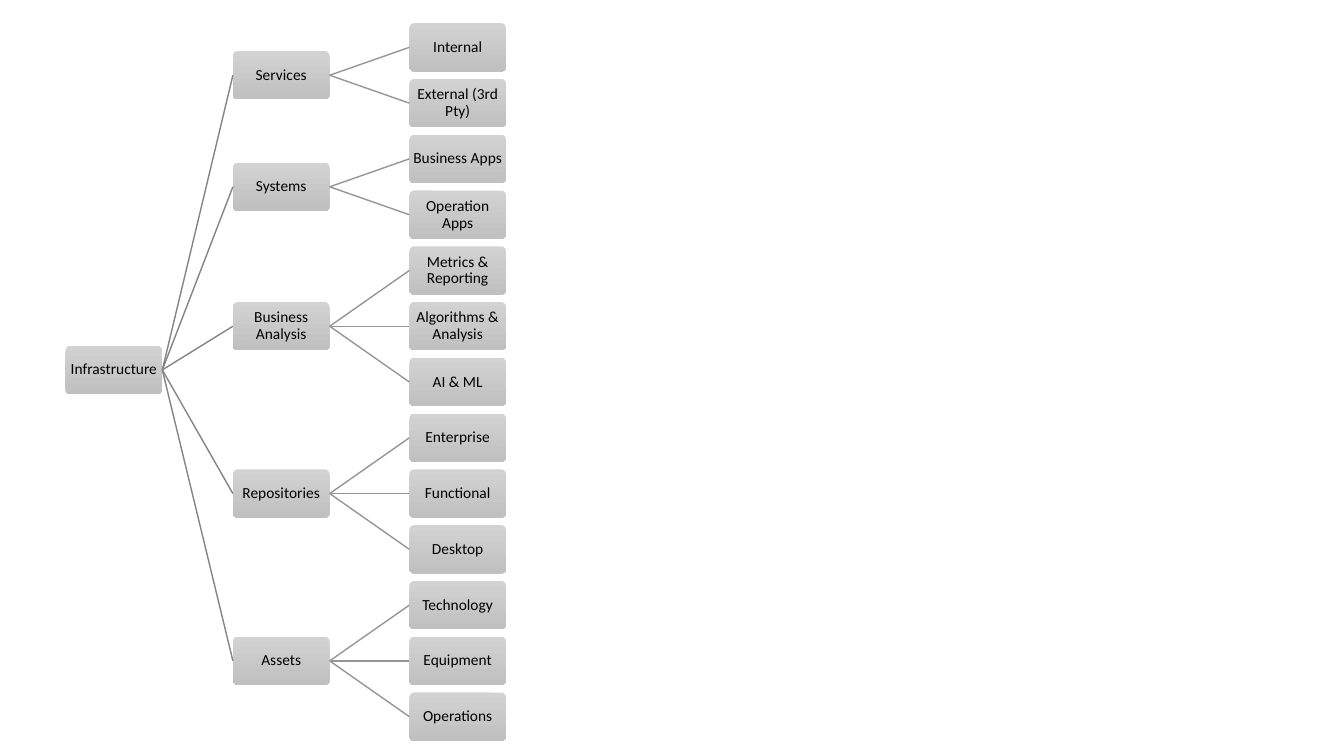
from dataclasses import dataclass

from lxml.etree import SubElement
from pptx import Presentation
from pptx.dml.color import RGBColor
from pptx.enum.shapes import MSO_CONNECTOR, MSO_SHAPE
from pptx.enum.text import MSO_ANCHOR, PP_ALIGN
from pptx.oxml.ns import qn
from pptx.util import Inches, Pt

ROOT = "Infrastructure"
BRANCHES = {
    "Services": ["Internal", "External (3rd Pty)"],
    "Systems": ["Business Apps", "Operation Apps"],
    "Business Analysis": ["Metrics & Reporting", "Algorithms & Analysis", "AI & ML"],
    "Repositories": ["Enterprise", "Functional", "Desktop"],
    "Assets": ["Technology", "Equipment", "Operations"],
}


@dataclass(frozen=True)
class Theme:
    font: str = "Calibri"
    size: float = 11
    text: str = "000000"
    box_top: str = "D2D2D2"
    box_bottom: str = "C0C0C0"
    branch_line: str = "848484"
    leaf_line: str = "969696"
    line_width: float = 1


THEME = Theme()
BOX_W, BOX_H = 0.96, 0.48
ROOT_X, BRANCH_X, LEAF_X = 0.65, 2.31, 4.06
ROOT_Y = 3.67
FIRST_LEAF_Y, LAST_LEAF_Y = 0.47, 7.11


def rgb(value):
    return RGBColor.from_string(value)


def add_box(slide, label, left, middle):
    sp = slide.shapes.add_shape(
        MSO_SHAPE.ROUNDED_RECTANGLE,
        Inches(left), Inches(middle - BOX_H / 2), Inches(BOX_W), Inches(BOX_H),
    )
    sp.adjustments[0] = 0.1
    sp.shadow.inherit = False
    sp.line.fill.background()
    sp.fill.gradient()
    sp.fill.gradient_angle = 270
    for stop, color in zip(sp.fill.gradient_stops, (THEME.box_top, THEME.box_bottom)):
        stop.color.rgb = rgb(color)

    tf = sp.text_frame
    tf.word_wrap = True
    tf.vertical_anchor = MSO_ANCHOR.MIDDLE
    tf.margin_left = tf.margin_right = tf.margin_top = tf.margin_bottom = Inches(0.01)
    p = tf.paragraphs[0]
    p.text = label
    p.alignment = PP_ALIGN.CENTER
    p.line_spacing = 0.9
    p.font.name = THEME.font
    p.font.size = Pt(THEME.size)
    p.font.color.rgb = rgb(THEME.text)
    return sp


def link(slide, parent, child, color):
    """Join the right side of the parent box to the left side of the child box."""
    line = slide.shapes.add_connector(MSO_CONNECTOR.STRAIGHT, 0, 0, 0, 0)
    line.begin_connect(parent, 3)
    line.end_connect(child, 1)
    line.line.color.rgb = rgb(color)
    line.line.width = Pt(THEME.line_width)
    SubElement(line._element.spPr, qn("a:effectLst"))


def draw_tree(slide):
    leaf_count = sum(len(leaves) for leaves in BRANCHES.values())
    pitch = (LAST_LEAF_Y - FIRST_LEAF_Y) / (leaf_count - 1)
    root = add_box(slide, ROOT, ROOT_X, ROOT_Y)
    y = FIRST_LEAF_Y
    for name, leaves in BRANCHES.items():
        branch_y = y + pitch * (len(leaves) - 1) / 2
        branch = add_box(slide, name, BRANCH_X, branch_y)
        link(slide, root, branch, THEME.branch_line)
        for label in leaves:
            leaf = add_box(slide, label, LEAF_X, y)
            link(slide, branch, leaf, THEME.leaf_line)
            y += pitch


def main():
    prs = Presentation()
    prs.slide_width, prs.slide_height = Inches(13.33), Inches(7.5)
    draw_tree(prs.slides.add_slide(prs.slide_layouts[6]))
    prs.save("out.pptx")


if __name__ == "__main__":
    main()
